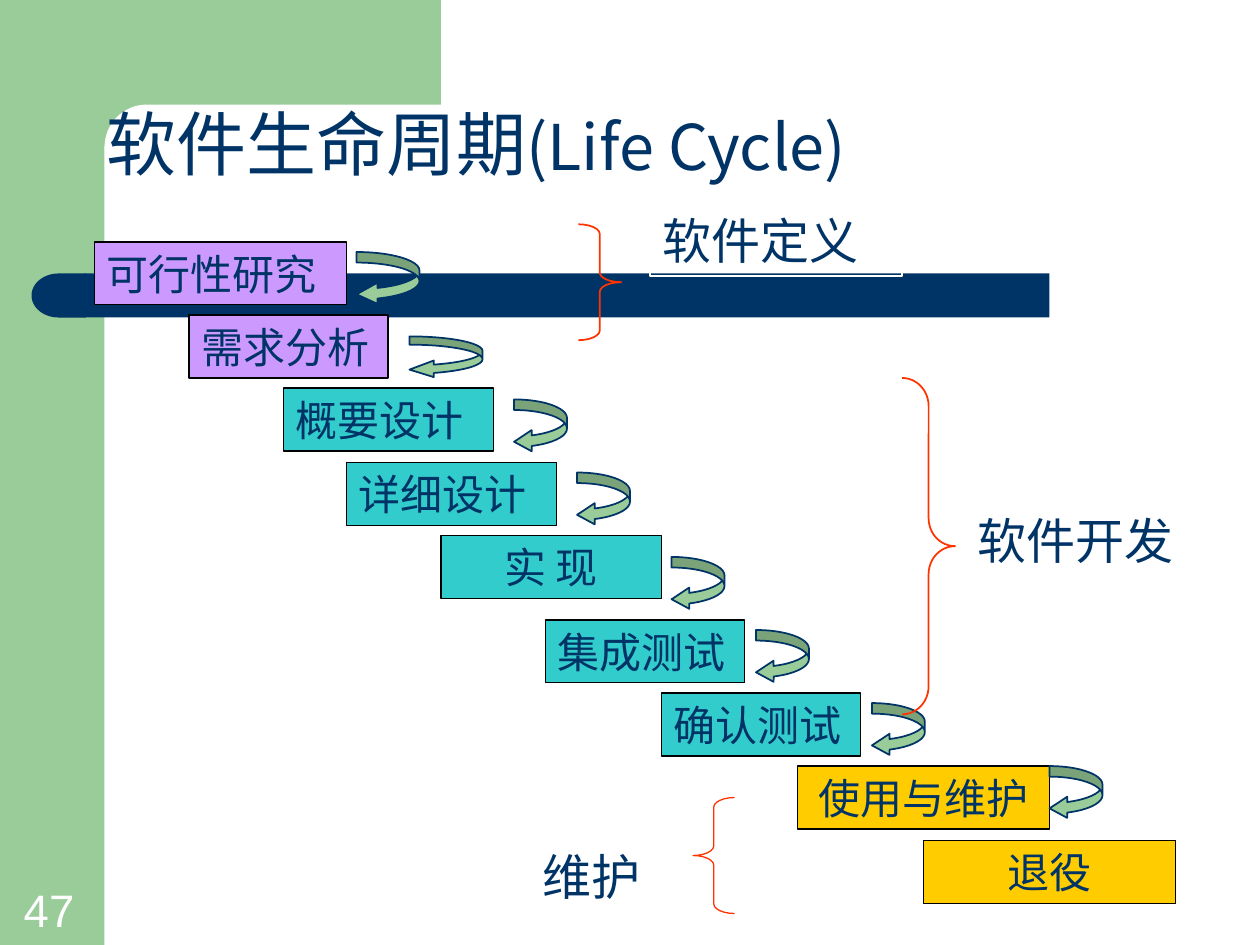
from dataclasses import dataclass

from pptx import Presentation
from pptx.dml.color import RGBColor
from pptx.enum.shapes import MSO_SHAPE
from pptx.enum.text import MSO_ANCHOR, MSO_AUTO_SIZE, PP_ALIGN
from pptx.util import Inches, Pt


@dataclass(frozen=True)
class Theme:
    green: str = "99CC99"
    navy: str = "003366"
    white: str = "FFFFFF"
    black: str = "000000"
    red: str = "FF3300"
    definition: str = "CC99FF"
    development: str = "33CCCC"
    maintenance: str = "FFCC00"
    body_font: str = "Times New Roman"
    title_font: str = "Noto Sans CJK SC"
    number_font: str = "Arial"
    title_size: float = 40
    subtitle_size: float = 36
    phase_size: float = 28
    number_size: float = 26
    step_size: float = 24


def apply_format(target, values):
    for name, value in values.items():
        setattr(target, name, value)


class LifeCycleSlide:
    def __init__(self, slide, theme):
        self.shapes = slide.shapes
        self.theme = theme

    def shape(self, preset, box, fill=None, line=None, weight=1, adjustments=()):
        item = self.shapes.add_shape(preset, *map(Inches, box))
        item.shadow.inherit = False
        for index, value in enumerate(adjustments):
            item.adjustments[index] = value
        if fill:
            item.fill.solid()
            item.fill.fore_color.rgb = RGBColor.from_string(fill)
        else:
            item.fill.background()
        if line:
            item.line.color.rgb = RGBColor.from_string(line)
            item.line.width = Pt(weight)
        else:
            item.line.fill.background()
        return item

    def label(self, item, runs, font=None, color=None,
              align=PP_ALIGN.LEFT, anchor=MSO_ANCHOR.TOP):
        frame = item.text_frame
        apply_format(frame, {
            "word_wrap": True,
            "auto_size": MSO_AUTO_SIZE.SHAPE_TO_FIT_TEXT,
            "vertical_anchor": anchor,
        })
        paragraph = frame.paragraphs[0]
        paragraph.alignment = align
        for words, size in runs:
            run = paragraph.add_run()
            run.text = words
            apply_format(run.font, {"name": font or self.theme.body_font, "size": Pt(size)})
            run.font.color.rgb = RGBColor.from_string(color or self.theme.navy)

    def text(self, box, runs, **style):
        self.label(self.shapes.add_textbox(*map(Inches, box)), runs, **style)

    def step(self, words, box, fill, align):
        rectangle = self.shape(MSO_SHAPE.RECTANGLE, box, fill, self.theme.black, 0.75)
        self.label(rectangle, [(words, self.theme.step_size)], align=align)

    def turn_arrow(self, left, top, width=0.42, height=0.42):
        # The head takes a third of the arrow's width
        head = width / 3 / min(width, height)
        self.shape(MSO_SHAPE.CURVED_LEFT_ARROW, (left, top, width, height),
                   self.theme.green, self.theme.navy, adjustments=(0.2, 0.4, head))

    def brace(self, preset, box, weight=1):
        # Each curve takes a twelfth of the brace's height
        width, height = box[2:]
        self.shape(preset, box, line=self.theme.red, weight=weight,
                   adjustments=(height / 12 / width, 0.5))


def main():
    theme = Theme()
    presentation = Presentation()
    apply_format(presentation, {"slide_width": Inches(10), "slide_height": Inches(7.5)})
    page = LifeCycleSlide(
        presentation.slides.add_slide(presentation.slide_layouts[6]), theme)

    # Background bands
    page.shape(MSO_SHAPE.RECTANGLE, (0, 0, 0.83, 7.5), theme.green)
    page.shape(MSO_SHAPE.RECTANGLE, (0.75, 0, 2.75, 1.16), theme.green)
    page.shape(MSO_SHAPE.ROUNDED_RECTANGLE, (0.83, 0.83, 5.58, 0.67), theme.white,
               adjustments=(0.5,))
    page.shape(MSO_SHAPE.RECTANGLE, (0.67, 2.17, 7.66, 0.35), theme.navy)
    bar_cap = page.shape(MSO_SHAPE.FLOWCHART_DELAY, (0.25, 2.17, 0.43, 0.35), theme.navy)
    bar_cap.rotation = 180

    # Page number and title
    page.text((0.09, 6.94, 0.64, 0.54), [("47", theme.number_size)],
              font=theme.number_font, color=theme.white, anchor=MSO_ANCHOR.BOTTOM)
    page.text((0.75, 0.75, 8.98, 0.77),
              [("软件生命周期", theme.title_size), ("(Life Cycle)", theme.subtitle_size)],
              font=theme.title_font, align=PP_ALIGN.JUSTIFY)

    # Staircase of steps
    left, center = PP_ALIGN.LEFT, PP_ALIGN.CENTER
    steps = [
        ("可行性研究", 0.75, 1.92, 2, theme.definition, left),
        ("需求分析", 1.5, 2.5, 1.58, theme.definition, left),
        ("概要设计", 2.25, 3.08, 1.67, theme.development, left),
        ("详细设计", 2.75, 3.67, 1.67, theme.development, left),
        ("实 现", 3.5, 4.25, 1.75, theme.development, center),
        ("集成测试", 4.33, 4.92, 1.58, theme.development, left),
        ("确认测试", 5.25, 5.5, 1.58, theme.development, left),
        ("使用与维护", 6.33, 6.08, 2, theme.maintenance, center),
        ("退役", 7.33, 6.67, 2, theme.maintenance, center),
    ]
    for words, x, y, width, fill, align in steps:
        page.step(words, (x, y, width, 0.5), fill, align)

    # Arrows from each step to the next
    page.turn_arrow(2.83, 2, 0.5)
    page.turn_arrow(3.25, 2.67, 0.58, 0.33)
    for x, y in [(4.08, 3.17), (4.58, 3.75), (5.33, 4.42),
                 (6, 5), (6.92, 5.58), (8.33, 6.08)]:
        page.turn_arrow(x, y)

    # Phases with their braces
    page.brace(MSO_SHAPE.RIGHT_BRACE, (4.59, 1.78, 0.34, 0.92))
    page.brace(MSO_SHAPE.RIGHT_BRACE, (7.16, 3, 0.42, 2.67))
    page.brace(MSO_SHAPE.LEFT_BRACE, (5.5, 6.33, 0.33, 0.92), 0.75)
    definition = page.shape(MSO_SHAPE.RECTANGLE, (5.16, 1.62, 2, 0.57), line=theme.white)
    page.label(definition, [("软件定义", theme.phase_size)])
    page.text((7.66, 4, 2, 0.57), [("软件开发", theme.phase_size)])
    page.text((4.21, 6.67, 1.2, 0.57), [("维护", theme.phase_size)])

    presentation.save("out.pptx")


if __name__ == "__main__":
    main()
